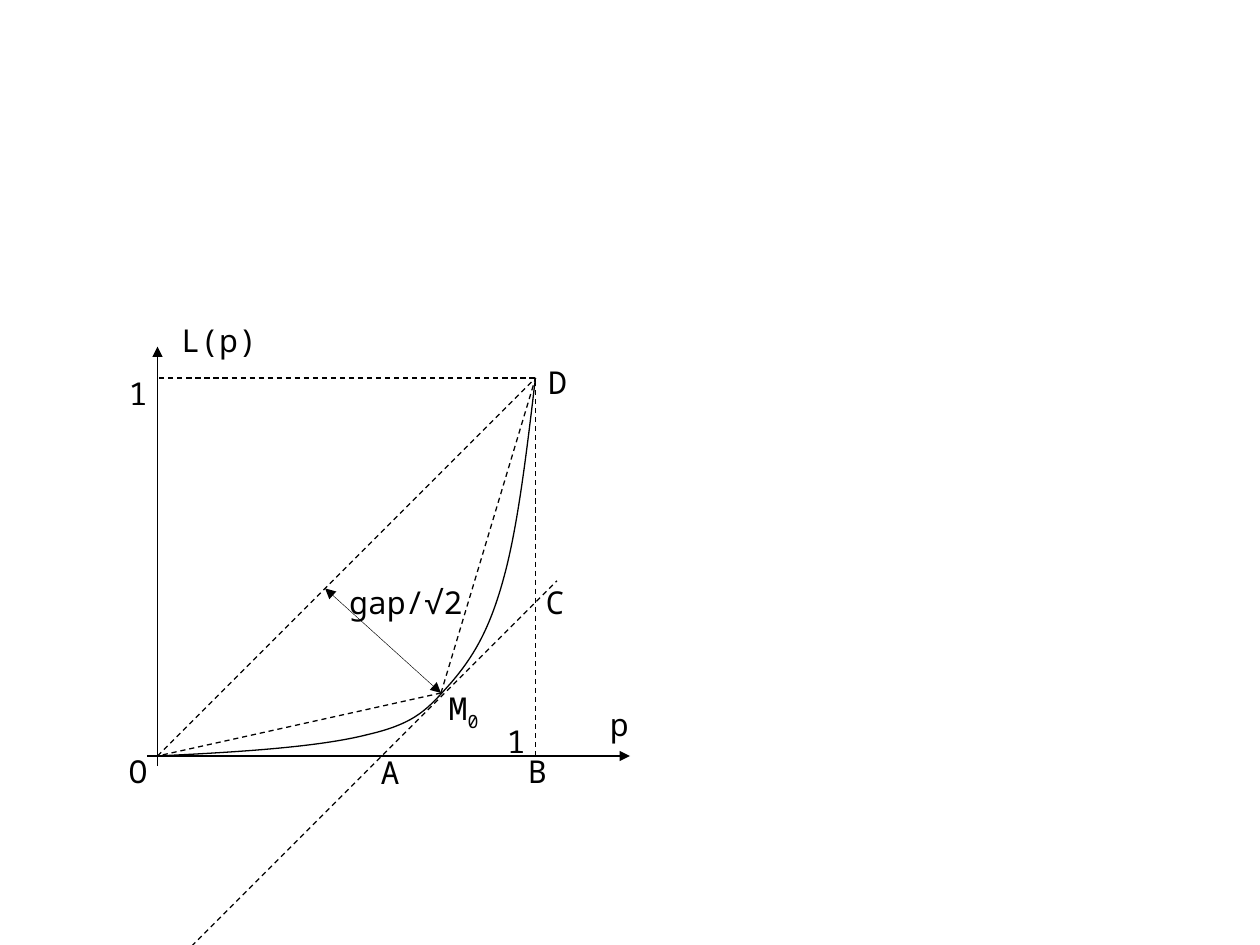
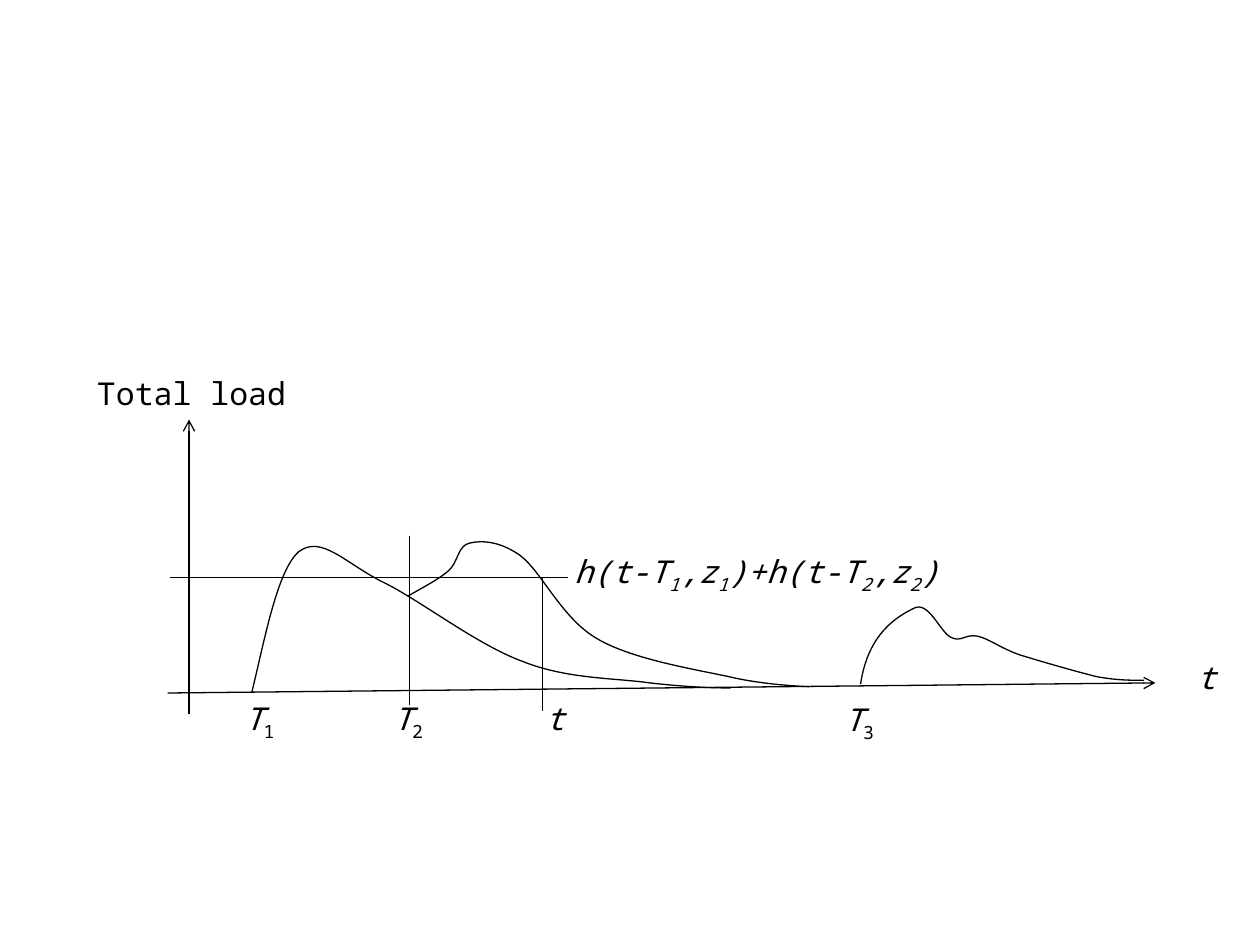
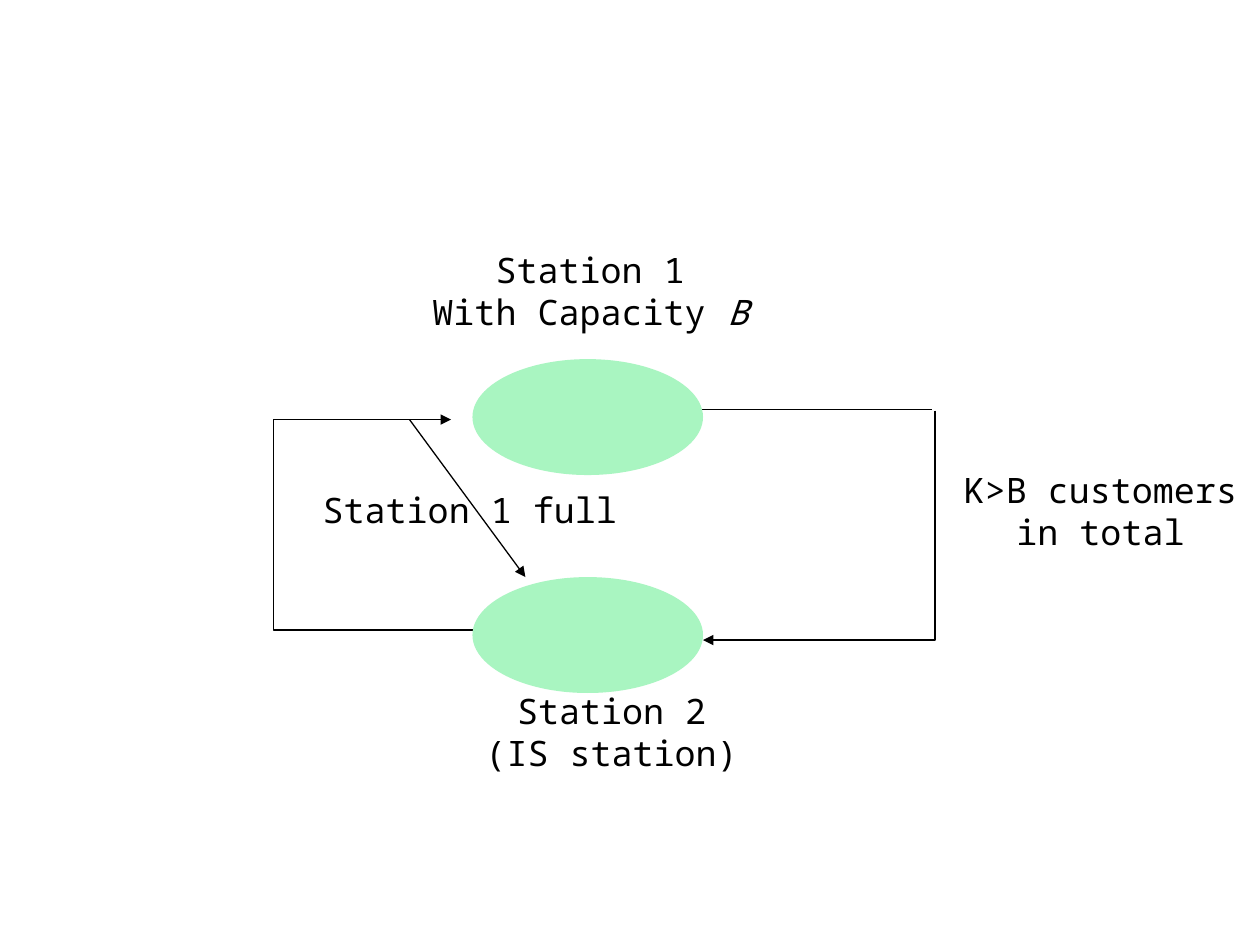
from typing import Any, NamedTuple

from lxml.etree import SubElement
from pptx import Presentation
from pptx.dml.color import RGBColor
from pptx.enum.dml import MSO_LINE
from pptx.enum.shapes import MSO_CONNECTOR, MSO_SHAPE
from pptx.enum.text import MSO_AUTO_SIZE, PP_ALIGN
from pptx.oxml.ns import qn
from pptx.util import Cm, Pt

BLACK, GREEN = "000000", "A9F5C1"
FACE = "Noto Sans Mono"
DASH, DOT = MSO_LINE.DASH, MSO_LINE.ROUND_DOT
GRID = 2.54  # centimetres in one grid unit
Point = tuple[float, float]


class Stroke(NamedTuple):
    width: float = 0.75
    dash: Any = None
    head: str = ""
    tail: str = ""


class Line(NamedTuple):
    start: Point
    end: Point
    stroke: Stroke = Stroke()


class Run(NamedTuple):
    text: str
    slant: bool = False
    sub: bool = False


class Label(NamedTuple):
    left: float
    top: float
    width: float
    height: float
    rows: list[list[Run]]
    wrap: bool = False
    size: int = 18


SOLID, DASHED = Stroke(), Stroke(dash=DASH)
DOTTED = Stroke(0.25, DOT)
ARROW, OPEN = Stroke(tail="triangle"), Stroke(tail="arrow")
BOTH = Stroke(0.25, head="triangle", tail="triangle")


# Shared helpers
def grid(*vals: float) -> list[int]:
    return [Cm(val * GRID) for val in vals]


def tint(fmt: Any, color: str) -> None:
    fmt.rgb = RGBColor.from_string(color)


def apply(item: Any, vals: dict[str, Any]) -> None:
    for key, val in vals.items():
        setattr(item, key, val)


def ink(line: Any, stroke: Stroke) -> None:
    line.fill.solid()
    tint(line.color, BLACK)
    apply(line, {"width": Pt(stroke.width), "dash_style": stroke.dash})
    edge = line._get_or_add_ln()
    for tag, kind in (("a:headEnd", stroke.head), ("a:tailEnd", stroke.tail)):
        if kind:
            SubElement(edge, qn(tag), type=kind)


def rule(slide: Any, line: Line) -> None:
    link = slide.shapes.add_connector(
        MSO_CONNECTOR.STRAIGHT, *grid(*line.start, *line.end))
    ink(link.line, line.stroke)
    SubElement(link._element.spPr, qn("a:effectLst"))


def trace(slide: Any, points: list[Point], stroke: Stroke = SOLID,
          curve: bool = False) -> None:
    """Draw an open outline; a curve takes points in Bezier threes."""
    spots = [tuple(grid(*point)) for point in points]
    pen = slide.shapes.build_freeform(*spots[0])
    pen.add_line_segments(spots[1:], close=False)
    shape = pen.convert_to_shape()
    shape.shadow.inherit = False
    shape.fill.background()
    ink(shape.line, stroke)
    if curve:
        track = next(shape._element.iter(qn("a:path")))
        steps = track.findall(qn("a:lnTo"))
        for i in range(0, len(steps), 3):
            bend = SubElement(track, qn("a:cubicBezTo"))
            for step in steps[i:i + 3]:
                bend.append(step[0])
                track.remove(step)


def write(slide: Any, label: Label) -> None:
    frame = slide.shapes.add_textbox(*grid(*label[:4])).text_frame
    apply(frame, {"word_wrap": label.wrap,
                  "auto_size": MSO_AUTO_SIZE.SHAPE_TO_FIT_TEXT})
    for i, row in enumerate(label.rows):
        para = frame.add_paragraph() if i else frame.paragraphs[0]
        para.alignment = PP_ALIGN.CENTER
        for part in row:
            run = para.add_run()
            run.text = part.text
            apply(run.font, {"name": FACE, "size": Pt(label.size),
                             "italic": part.slant})
            tint(run.font.color, BLACK)
            if part.sub:
                run._r.get_or_add_rPr().set("baseline", "-25000")


def mark(left: float, top: float, text: str, slant: bool = False,
         width: float = 0.35) -> Label:
    return Label(left, top, width, 0.4, [[Run(text, slant)]])


def index(left: float, top: float, text: str, sub: str,
          slant: bool = False) -> Label:
    return Label(left, top, 0.44, 0.44,
                 [[Run(text, slant), Run(sub, sub=True)]])


def draw(slide: Any, lines: list[Line], labels: list[Label]) -> None:
    for line in lines:
        rule(slide, line)
    for label in labels:
        write(slide, label)


# Slide 1: curve L(p) in the unit square
def gap_plot(slide: Any) -> None:
    base, peak, touch = (1.25, 6), (4.25, 3), (3.5, 5.5)
    square = slide.shapes.add_shape(MSO_SHAPE.RECTANGLE, *grid(1.25, 3, 3, 3))
    square.shadow.inherit = False
    square.fill.background()
    ink(square.line, DASHED)
    trace(slide, [base, (1.89, 5.97), (2.53, 5.93), (2.92, 5.83),
                  (3.31, 5.74), (3.4, 5.62), (3.58, 5.42),
                  (3.76, 5.21), (3.89, 4.99), (4, 4.58),
                  (4.11, 4.18), (4.18, 3.59), peak], curve=True)
    draw(slide, [
        Line((1.25, 6.08), (1.25, 2.75), ARROW),
        Line((1.17, 6), (5, 6), ARROW),
        Line(base, peak, DASHED),
        Line((1.42, 7.61), (4.42, 4.61), DASHED),
        Line(touch, base, DASHED),
        Line(touch, peak, DASHED),
        Line(touch, (2.58, 4.67), BOTH),
    ], [
        mark(4.74, 5.55, "p"),
        mark(1.34, 2.5, "L(p)", width=0.8),
        mark(3.92, 5.68, "1"),
        mark(0.92, 2.92, "1"),
        mark(2.67, 4.58, "gap/√2 ", width=1.25),
        mark(0.92, 5.92, "O"),
        index(3.46, 5.42, "M", "0"),
        mark(2.92, 5.93, "A"),
        mark(4.09, 5.92, "B"),
        mark(4.23, 4.58, "C"),
        mark(4.25, 2.83, "D"),
    ])


# Slide 2: load over time
def load_plot(slide: Any) -> None:
    first = [(2, 5.49), (2.1, 5.08), (2.2, 4.53), (2.37, 4.38),
             (2.55, 4.24), (2.74, 4.47), (3.04, 4.62),
             (3.33, 4.76), (3.79, 5.12), (4.15, 5.25),
             (4.5, 5.39), (4.88, 5.38), (5.16, 5.42),
             (5.43, 5.45), (5.62, 5.46), (5.8, 5.46)]
    second = [(3.24, 4.73), (3.36, 4.66), (3.48, 4.6), (3.56, 4.53),
              (3.64, 4.46), (3.63, 4.33), (3.73, 4.31),
              (3.82, 4.29), (3.96, 4.29), (4.13, 4.41),
              (4.3, 4.54), (4.46, 4.91), (4.74, 5.07),
              (5.01, 5.23), (5.5, 5.31), (5.78, 5.37),
              (6.07, 5.44), (6.42, 5.45), (6.42, 5.45)]
    third = [(6.83, 5.43), (6.89, 5.02), (7.13, 4.89), (7.25, 4.83),
             (7.37, 4.76), (7.46, 5.02), (7.55, 5.06),
             (7.63, 5.1), (7.66, 5.03), (7.76, 5.05),
             (7.85, 5.07), (7.95, 5.15), (8.1, 5.2),
             (8.26, 5.25), (8.54, 5.33), (8.7, 5.37),
             (8.86, 5.4), (8.97, 5.4), (9.08, 5.4)]
    for points in (first, second, third):
        trace(slide, points, curve=True)
    terms = [Run(text, True, sub) for text, sub in (
        ("h(t-T", False), ("1", True), (",z", False), ("1", True),
        (")+h(t-T", False), ("2", True), (",z", False), ("2", True),
        (")", False))]
    draw(slide, [
        Line((1.33, 5.5), (9.17, 5.42), OPEN),
        Line((1.5, 5.67), (1.5, 3.33), OPEN),
        Line((3.25, 4.25), (3.25, 5.59), DOTTED),
        Line((4.5, 4.58), (1.35, 4.58), DOTTED),
        Line((4.3, 4.58), (4.3, 5.64), DOTTED),
    ], [
        Label(9.4, 5.17, 0.2, 0.4, [[Run("t", True)]], wrap=True),
        mark(0.67, 2.92, "Total load", width=1.7),
        index(1.84, 5.5, "T", "1", True),
        index(3.02, 5.5, "T", "2", True),
        index(6.6, 5.51, "T", "3", True),
        mark(4.23, 5.5, "t", True),
        Label(4.42, 4.33, 3.17, 0.44, [terms], wrap=True),
    ])


# Slide 3: two stations in a loop
def loop_plot(slide: Any) -> None:
    trace(slide, [(7.42, 3.26), (7.42, 5.08), (5.58, 5.08)], ARROW)
    trace(slide, [(3.75, 5), (2.17, 5), (2.17, 3.33)])
    lines = [
        Line((2.17, 3.33), (3.58, 3.33), ARROW),
        Line((5.52, 3.25), (7.4, 3.25)),
        Line((3.25, 3.33), (4.17, 4.58), ARROW),
    ]
    draw(slide, lines, [])
    for top in (2.85, 4.58):
        node = slide.shapes.add_shape(
            MSO_SHAPE.OVAL, *grid(3.75, top, 1.83, 0.92))
        node.shadow.inherit = False
        node.fill.solid()
        tint(node.fill.fore_color, GREEN)
        node.line.fill.background()
    draw(slide, [], [
        Label(3.33, 1.92, 2.71, 0.77,
              [[Run("Station 1")], [Run("With Capacity "), Run("B", True)]],
              size=20),
        Label(3.75, 5.42, 2.21, 0.77,
              [[Run("Station 2")], [Run("(IS station)")]], size=20),
        Label(2.46, 3.83, 2.54, 0.44, [[Run("Station 1 full")]], size=20),
        Label(7.47, 3.67, 2.53, 0.77, [[Run("K>B customers in total")]],
              wrap=True, size=20),
    ])


def main() -> None:
    deck = Presentation()
    apply(deck, {"slide_width": Cm(25.4), "slide_height": Cm(19.05)})
    for plot in (gap_plot, load_plot, loop_plot):
        plot(deck.slides.add_slide(deck.slide_layouts[6]))
    deck.save("out.pptx")


if __name__ == "__main__":
    main()
